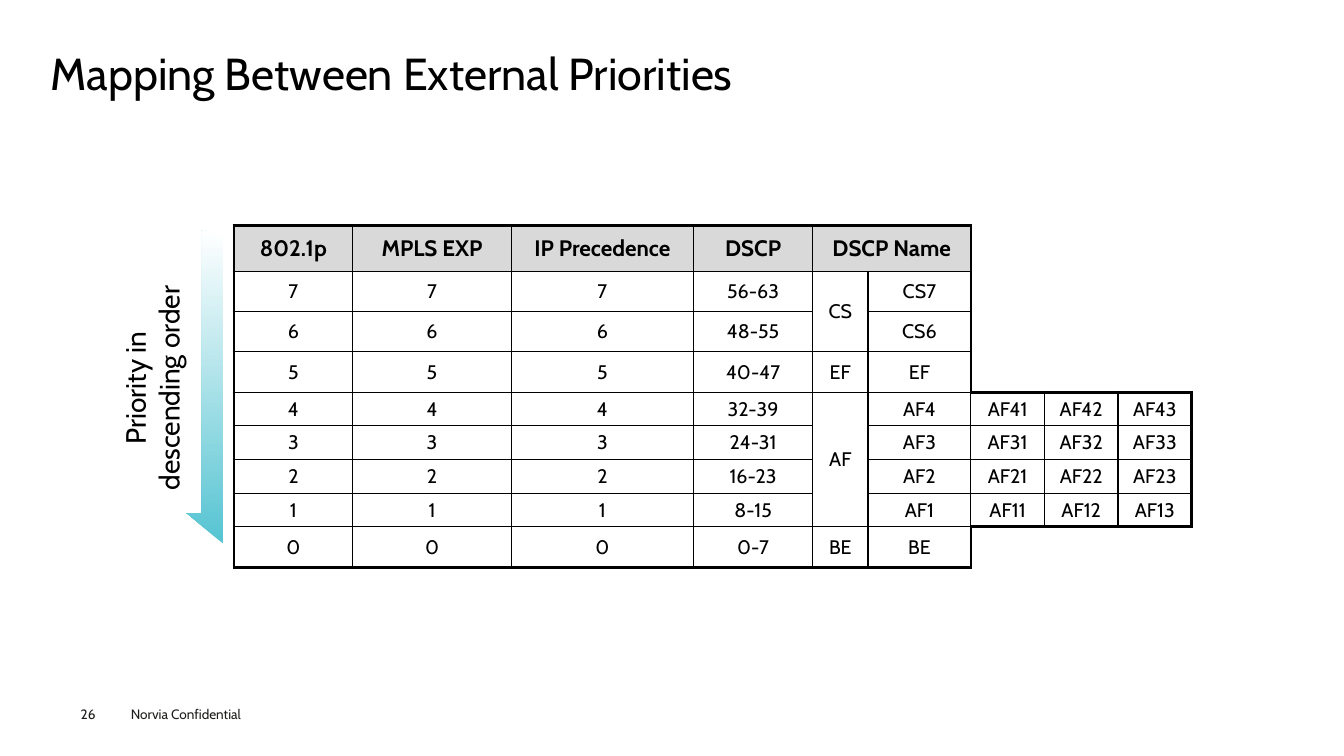
from lxml.etree import SubElement
from pptx import Presentation
from pptx.dml.color import RGBColor
from pptx.enum.text import MSO_ANCHOR as Anchor, PP_ALIGN as Align
from pptx.oxml.ns import qn
from pptx.util import Inches, Pt

FONT = "Cabin"
BLACK = RGBColor(0x00, 0x00, 0x00)
WHITE = RGBColor(0xFF, 0xFF, 0xFF)
GREY = RGBColor(0xD9, 0xD9, 0xD9)
TEAL = RGBColor(0x56, 0xC4, 0xD2)
INK = RGBColor(0x1D, 0x1D, 0x1B)

NO_STYLE = "{2D5ABB26-0587-4C30-8999-92F81FD0307C}"
THIN, THICK = Pt(1), Pt(2.25)
COL_WIDTHS = [1.18, 1.57, 1.81, 1.18, 0.55, 1.02] + [0.73] * 3
HEADER_HEIGHT, ROW_HEIGHT = 0.45, 0.33
HEADERS = ["802.1p", "MPLS EXP", "IP Precedence", "DSCP", "DSCP Name"]
# DSCP range, class, DSCP names; from priority 7 down to 0
PRIORITIES = [
    ("56-63", "CS", "CS7"),
    ("48-55", "", "CS6"),
    ("40-47", "EF", "EF"),
    ("32-39", "AF", "AF4", "AF41", "AF42", "AF43"),
    ("24-31", "", "AF3", "AF31", "AF32", "AF33"),
    ("16-23", "", "AF2", "AF21", "AF22", "AF23"),
    ("8-15", "", "AF1", "AF11", "AF12", "AF13"),
    ("0-7", "BE", "BE"),
]
MERGES = [((0, 4), (0, 5)), ((1, 4), (2, 4)), ((4, 4), (7, 4))]


def set_text(tf, text, size, color=BLACK, bold=False, align=Align.LEFT):
    tf.text = text
    p = tf.paragraphs[0]
    p.alignment = align
    font = p.runs[0].font
    font.name, font.size, font.bold = FONT, Pt(size), bold
    font.color.rgb = color


def add_text(slide, box, text, size, color=BLACK, inset=True, align=Align.LEFT):
    tf = slide.shapes.add_textbox(*map(Inches, box)).text_frame
    tf.word_wrap = True
    if not inset:
        tf.margin_left = tf.margin_top = tf.margin_right = tf.margin_bottom = 0
    set_text(tf, text, size, color, align=align)
    return tf


def set_title(slide, text):
    s = slide.shapes.title
    s.left, s.top, s.width, s.height = map(Inches, (0.5, 0.49, 12.31, 0.53))
    tf = s.text_frame
    tf.margin_left = tf.margin_top = tf.margin_right = tf.margin_bottom = 0
    tf.vertical_anchor = Anchor.MIDDLE
    set_text(tf, text, 32)
    tf.paragraphs[0].line_spacing = 0.9


def in_outline(row, col):
    """Tell whether a cell belongs to the stepped outline of the mapping."""
    if not 0 <= row <= len(PRIORITIES):
        return False
    return 0 <= col < 6 or (4 <= row <= 7 and 6 <= col < len(COL_WIDTHS))


def set_borders(cell, row, col):
    """Draw thick lines along the outline, thin ones inside, none outside."""
    right = col + (cell.span_width if cell.is_merge_origin else 1)
    below = row + (cell.span_height if cell.is_merge_origin else 1)
    neighbours = {"a:lnL": (row, col - 1), "a:lnR": (row, right),
                  "a:lnT": (row - 1, col), "a:lnB": (below, col)}
    tcPr = cell._tc.get_or_add_tcPr()
    for tag, neighbour in neighbours.items():
        inside = (in_outline(row, col), in_outline(*neighbour))
        ln = SubElement(tcPr, qn(tag))
        if not any(inside):
            SubElement(ln, qn("a:noFill"))
            continue
        ln.set("w", str(THIN if all(inside) else THICK))
        fill = SubElement(ln, qn("a:solidFill"))
        SubElement(fill, qn("a:srgbClr")).set("val", str(BLACK))


def add_mapping_table(slide):
    rows = [HEADERS] + [[str(7 - i)] * 3 + list(names)
                        for i, names in enumerate(PRIORITIES)]
    height = HEADER_HEIGHT + ROW_HEIGHT * len(PRIORITIES)
    frame = slide.shapes.add_table(
        len(rows), len(COL_WIDTHS), Inches(2.32), Inches(2.24),
        Inches(sum(COL_WIDTHS)), Inches(height))
    table = frame.table
    table.first_row = table.horz_banding = False
    table._tbl.tblPr.find(qn("a:tableStyleId")).text = NO_STYLE
    for column, width in zip(table.columns, COL_WIDTHS):
        column.width = Inches(width)
    for first, last in MERGES:
        table.cell(*first).merge(table.cell(*last))

    for r, texts in enumerate(rows):
        header = r == 0
        table.rows[r].height = Inches(HEADER_HEIGHT if header else ROW_HEIGHT)
        for c in range(len(COL_WIDTHS)):
            cell = table.cell(r, c)
            if cell.is_spanned:
                continue
            cell.vertical_anchor = Anchor.MIDDLE
            set_borders(cell, r, c)
            if header and in_outline(r, c):
                cell.fill.solid()
                cell.fill.fore_color.rgb = GREY
            else:
                cell.fill.background()
            if c < len(texts):
                set_text(cell.text_frame, texts[c], 16 if header else 14,
                         bold=header, align=Align.CENTER)


def add_priority_arrow(slide):
    points = [(2.21, 2.28), (2.21, 5.39), (1.85, 5.09), (2, 5.09), (2, 2.29)]
    corners = [(Inches(x), Inches(y)) for x, y in points]
    builder = slide.shapes.build_freeform(*corners[0])
    builder.add_line_segments(corners[1:], close=True)
    s = builder.convert_to_shape()
    s.shadow.inherit = False
    s.line.fill.background()
    s.fill.gradient()
    s.fill.gradient_angle = 90
    for stop, color, position in zip(s.fill.gradient_stops, (TEAL, WHITE), (0, 1)):
        stop.color.rgb = color
        stop.position = position


def main():
    prs = Presentation()
    prs.slide_width, prs.slide_height = Inches(13.33), Inches(7.5)
    slide = prs.slides.add_slide(prs.slide_layouts[5])
    add_text(slide, (1.2, 6.95, 1.6, 0.27), "Norvia Confidential", 9.7, INK)
    add_text(slide, (0.8, 7, 0.55, 0.16), "26", 9.7, INK, inset=False)
    set_title(slide, "Mapping Between External Priorities")
    add_mapping_table(slide)
    add_priority_arrow(slide)
    tf = add_text(slide, (1.12, 2.5, 0.89, 2.7), "Priority in descending order",
                  20, align=Align.CENTER)
    tf._txBody.bodyPr.set("vert", "vert270")
    prs.save("out.pptx")


if __name__ == "__main__":
    main()
